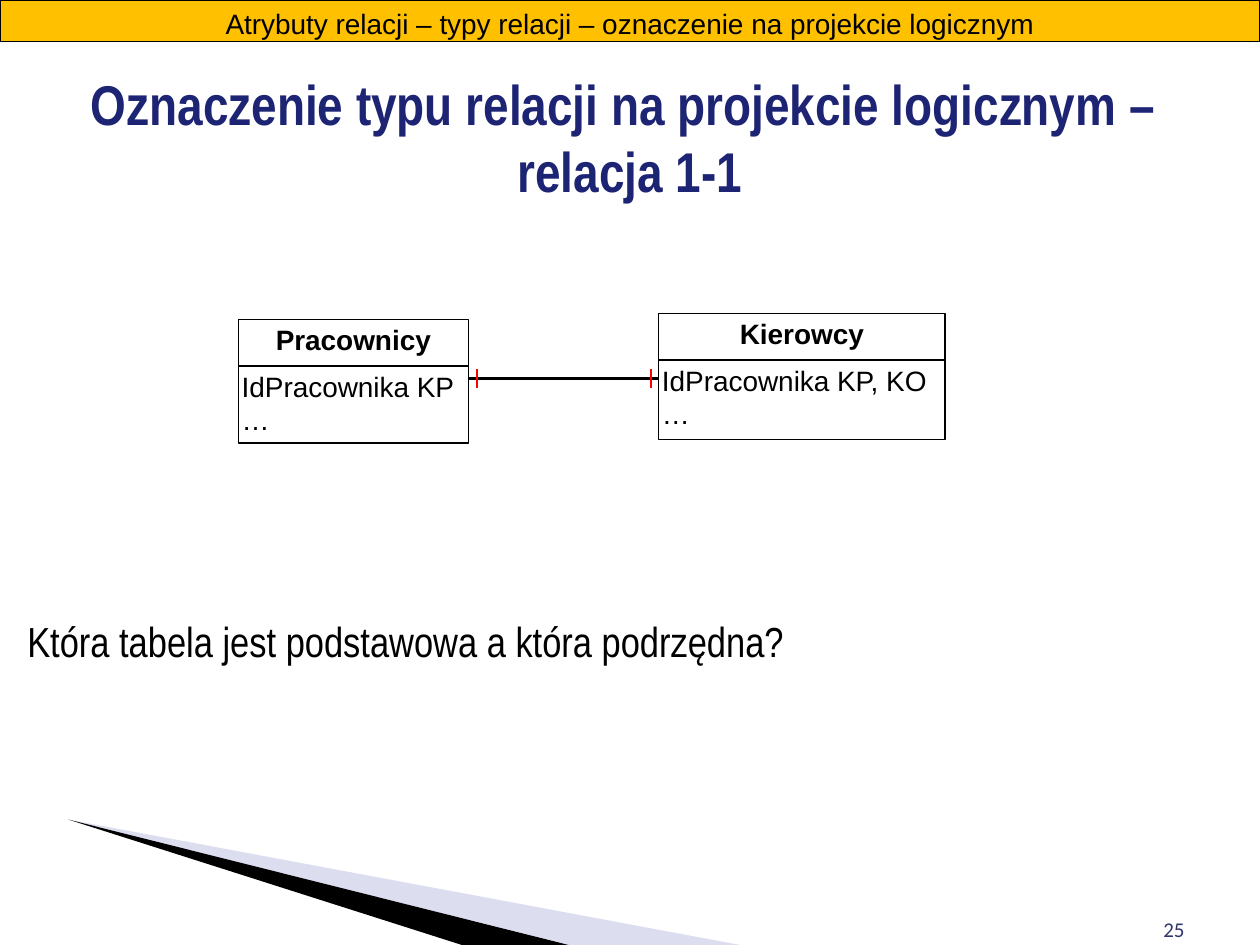
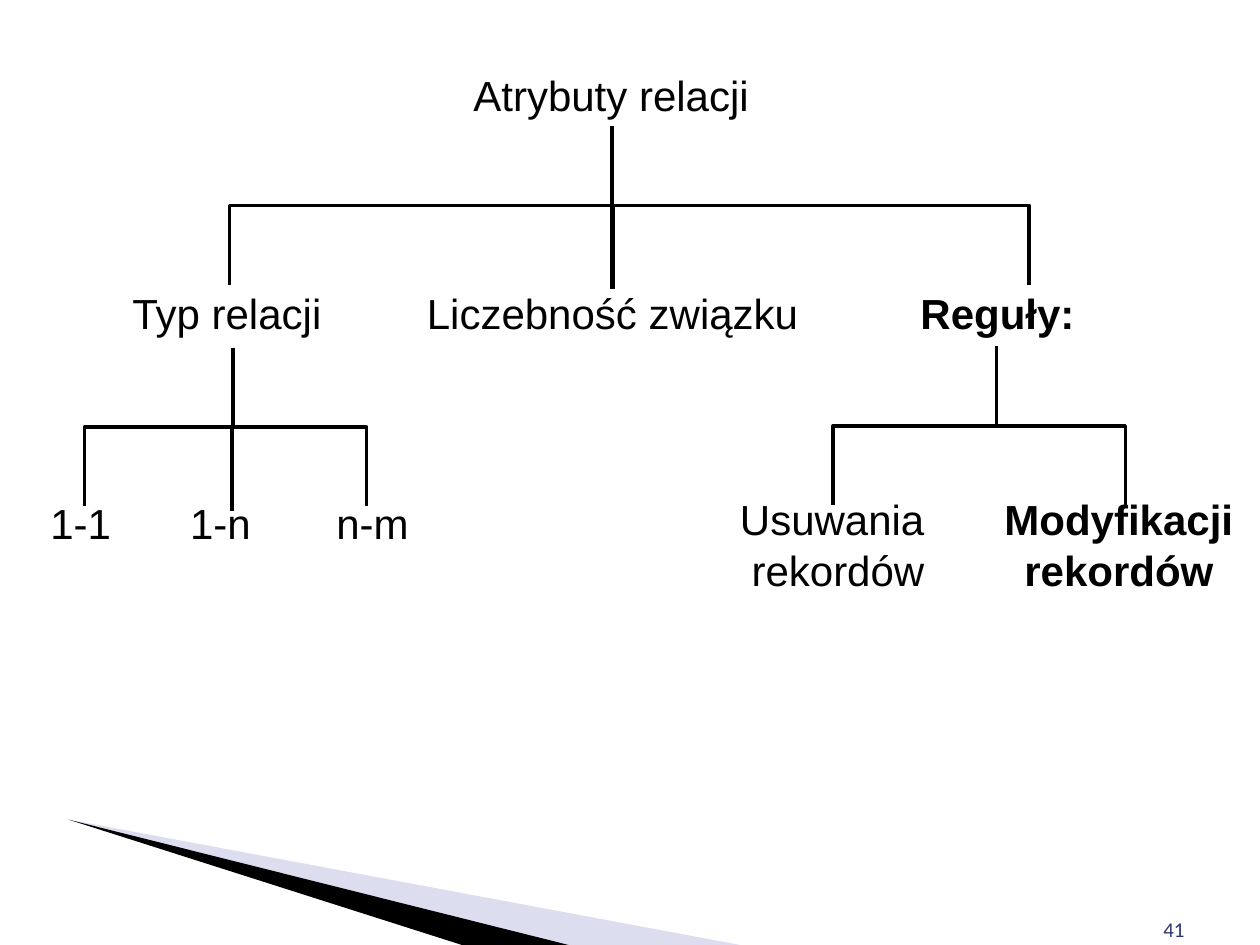
from pptx import Presentation
from pptx.dml.color import RGBColor
from pptx.enum.shapes import MSO_CONNECTOR, MSO_SHAPE
from pptx.enum.text import MSO_ANCHOR, MSO_AUTO_SIZE, PP_ALIGN
from pptx.oxml.ns import qn
from pptx.util import Pt
from lxml.etree import SubElement

# Shared colours and formats
BLACK = RGBColor(0x00, 0x00, 0x00)
WHITE = RGBColor(0xFF, 0xFF, 0xFF)
RED = RGBColor(0xFF, 0x00, 0x00)
AMBER = RGBColor(0xFF, 0xC0, 0x00)
NAVY = RGBColor(0x1D, 0x24, 0x74)
NUMBER_BLUE = RGBColor(0x30, 0x35, 0x6E)
PALE_BLUE = RGBColor(0xA8, 0xAB, 0xD5)

TITLE_FONT = {"name": "Arial Narrow", "size": Pt(32), "bold": True}
QUESTION_FONT = {"name": "Arial Narrow", "size": Pt(24), "bold": False}
TREE_FONT = {"name": "Arial", "size": Pt(24), "bold": False}
TABLE_FONT = {"name": "Arial", "size": Pt(16), "bold": False}
NUMBER_FONT = {"name": "Calibri", "size": Pt(12), "bold": False}
BOLD = {"bold": True}
SLIDE_WIDTH, SLIDE_HEIGHT = 720, 540


def set_attributes(target, values):
    for name, value in values.items():
        setattr(target, name, value)


def place(shape, left, top, width, height):
    set_attributes(shape, {"left": Pt(left), "top": Pt(top),
                           "width": Pt(width), "height": Pt(height)})


def write_text(shape, lines, font, color=BLACK, align=PP_ALIGN.LEFT,
               insets=(3.6, 3.6), anchor=MSO_ANCHOR.TOP):
    """Fill a shape with one paragraph per line; insets are (side, top and bottom)."""
    side, edge = (Pt(inset) for inset in insets)
    frame = shape.text_frame
    set_attributes(frame, {
        "text": "\n".join(lines), "word_wrap": True,
        "auto_size": MSO_AUTO_SIZE.NONE, "vertical_anchor": anchor,
        "margin_left": side, "margin_right": side,
        "margin_top": edge, "margin_bottom": edge})
    for paragraph in frame.paragraphs:
        properties = paragraph._p.get_or_add_pPr()
        properties.set("marL", "0")
        properties.set("indent", "0")
        SubElement(properties, qn("a:buNone"))
        set_attributes(paragraph, {"alignment": align, "space_before": Pt(0)})
        set_attributes(paragraph.font, font)
        paragraph.font.color.rgb = color


def add_label(slide, box, lines, font, **options):
    label = slide.shapes.add_textbox(*map(Pt, box))
    write_text(label, lines, font, **options)


def add_box(slide, box, fill, lines, font, **options):
    shape = slide.shapes.add_shape(MSO_SHAPE.RECTANGLE, *map(Pt, box))
    shape.shadow.inherit = False
    shape.fill.solid()
    shape.fill.fore_color.rgb = fill
    shape.line.color.rgb = BLACK
    shape.line.width = Pt(0.75)
    write_text(shape, lines, font, **options)


def add_line(slide, start, end, color=BLACK, width=1.5, kind=MSO_CONNECTOR.STRAIGHT):
    line = slide.shapes.add_connector(kind, *map(Pt, (*start, *end)))
    line.line.color.rgb = color
    line.line.width = Pt(width)
    SubElement(line.element.spPr, qn("a:effectLst"))
    return line


def add_wedge(slide, left, top, corners, color, opacity=100):
    """Draw a triangle whose tip is at left, top."""
    builder = slide.shapes.build_freeform(Pt(left), Pt(top))
    builder.add_line_segments([(Pt(left + x), Pt(top + y)) for x, y in corners])
    wedge = builder.convert_to_shape()
    wedge.shadow.inherit = False
    wedge.line.fill.background()
    wedge.fill.solid()
    wedge.fill.fore_color.rgb = color
    color_element = wedge.element.spPr.find(qn("a:solidFill"))[0]
    SubElement(color_element, qn("a:alpha")).set("val", str(opacity * 1000))


def add_decorated_slide(presentation, number):
    """Add a slide with the corner wedges and the slide number."""
    slide = presentation.slides.add_slide(presentation.slide_layouts[1])
    left, top = 39, 468.3
    depth = SLIDE_HEIGHT - top
    add_wedge(slide, left, top, [(384, depth), (286, depth)], PALE_BLUE, 40)
    add_wedge(slide, left, top, [(286, depth), (225, depth)], BLACK)
    add_label(slide, (516, 504, 168, 37.5), [number], NUMBER_FONT,
              color=NUMBER_BLUE, align=PP_ALIGN.RIGHT, insets=(7.2, 3.6),
              anchor=MSO_ANCHOR.BOTTOM)
    return slide


def add_entity(slide, left, top, width, body_height, name, attributes):
    """Draw a database table: name above, attributes below."""
    header_height = 26.6
    add_box(slide, (left, top, width, header_height), WHITE, [name],
            TABLE_FONT | BOLD, align=PP_ALIGN.CENTER, insets=(7.2, 1.8))
    add_box(slide, (left, top + header_height, width, body_height), WHITE,
            attributes, TABLE_FONT, insets=(1.8, 1.8))


def add_relation(slide, left, right, y):
    """Join two entities with a one-to-one relation."""
    add_line(slide, (left, y), (right, y))
    for x in (left + 5, right - 4.3):
        add_line(slide, (x, y - 5.5), (x, y + 5.5), RED)


def add_elbow(slide, start, end):
    """Draw an elbow that leaves downwards: a horizontal one turned by 90 degrees."""
    (x1, y1), (x2, y2) = start, end
    middle_x, middle_y = (x1 + x2) / 2, (y1 + y2) / 2
    half_width, half_height = (x2 - x1) / 2, (y2 - y1) / 2
    elbow = add_line(slide, (middle_x - half_height, middle_y + half_width),
                     (middle_x + half_height, middle_y - half_width),
                     width=2, kind=MSO_CONNECTOR.ELBOW)
    elbow.element.spPr.find(qn("a:xfrm")).set("rot", "5400000")


def add_fork(slide, x, top, child_positions, stem_x=None):
    """Branch from a parent to its outer children and, if given, a middle one."""
    height = 90.7
    for child_x in child_positions:
        add_elbow(slide, (x, top), (child_x, top + height))
    if stem_x is not None:
        middle = top + height / 2
        add_line(slide, (stem_x, middle), (stem_x, middle + 48), width=2.5)


def build_relation_slide(presentation):
    slide = add_decorated_slide(presentation, "25")
    add_box(slide, (0, 0, SLIDE_WIDTH, 23.8), AMBER,
            ["Atrybuty relacji – typy relacji – oznaczenie na projekcie logicznym"],
            TABLE_FONT, align=PP_ALIGN.CENTER, insets=(7.2, 3.6))

    # Title and question
    title, question = slide.placeholders
    place(title, 0, 36, SLIDE_WIDTH, 84)
    write_text(title, ["Oznaczenie typu relacji na projekcie logicznym – \vrelacja 1-1"],
               TITLE_FONT, color=NAVY, align=PP_ALIGN.CENTER)
    place(question, 12, 348, 670, 40)
    write_text(question, ["Która tabela jest podstawowa a która podrzędna?"], QUESTION_FONT)

    # Logical design
    add_entity(slide, 376.4, 179.2, 163.6, 45.2, "Kierowcy", ["IdPracownika KP, KO", "…"])
    add_entity(slide, 136.3, 182.6, 131.3, 44, "Pracownicy", ["IdPracownika KP", "…"])
    add_relation(slide, 267.6, 376.4, 216.4)


def build_tree_slide(presentation):
    slide = add_decorated_slide(presentation, "41")

    # Root of the tree
    title, root = slide.placeholders
    title.element.getparent().remove(title.element)
    place(root, 262, 36, 174.4, 36)
    write_text(root, ["Atrybuty relacji"], TREE_FONT, align=PP_ALIGN.CENTER)

    # Labels by level: left, width, lines, format
    center, left = {"align": PP_ALIGN.CENTER}, {"align": PP_ALIGN.LEFT}
    levels = [
        (160.6, 36, [(72, 132, ["Typ relacji"], {}, left),
                     (231, 238, ["Liczebność związku"], {}, center),
                     (510, 120, ["Reguły:"], BOLD, center)]),
        (281, 36, [(23.8, 44.6, ["1-1"], {}, center),
                   (103.7, 44.6, ["1-n"], {}, center),
                   (185.8, 54, ["n-m"], {}, center)]),
        (278.6, 63.4, [(416.2, 125.3, ["Usuwania ", "rekordów"], {}, center),
                       (569.5, 139.7, ["Modyfikacji ", "rekordów"], BOLD, center)]),
    ]
    for top, height, labels in levels:
        for label_left, width, lines, weight, options in labels:
            add_label(slide, (label_left, top, width, height), lines,
                      TREE_FONT | weight, **options)

    # Branches
    add_fork(slide, 349.7, 72, (131, 588), stem_x=350)
    add_fork(slide, 133.2, 198.7, (48.2, 209.5), stem_x=132.5)
    add_fork(slide, 569.5, 198, (476, 643))


def main():
    presentation = Presentation()
    presentation.slide_width = Pt(SLIDE_WIDTH)
    presentation.slide_height = Pt(SLIDE_HEIGHT)
    build_relation_slide(presentation)
    build_tree_slide(presentation)
    presentation.save("out.pptx")


if __name__ == "__main__":
    main()
